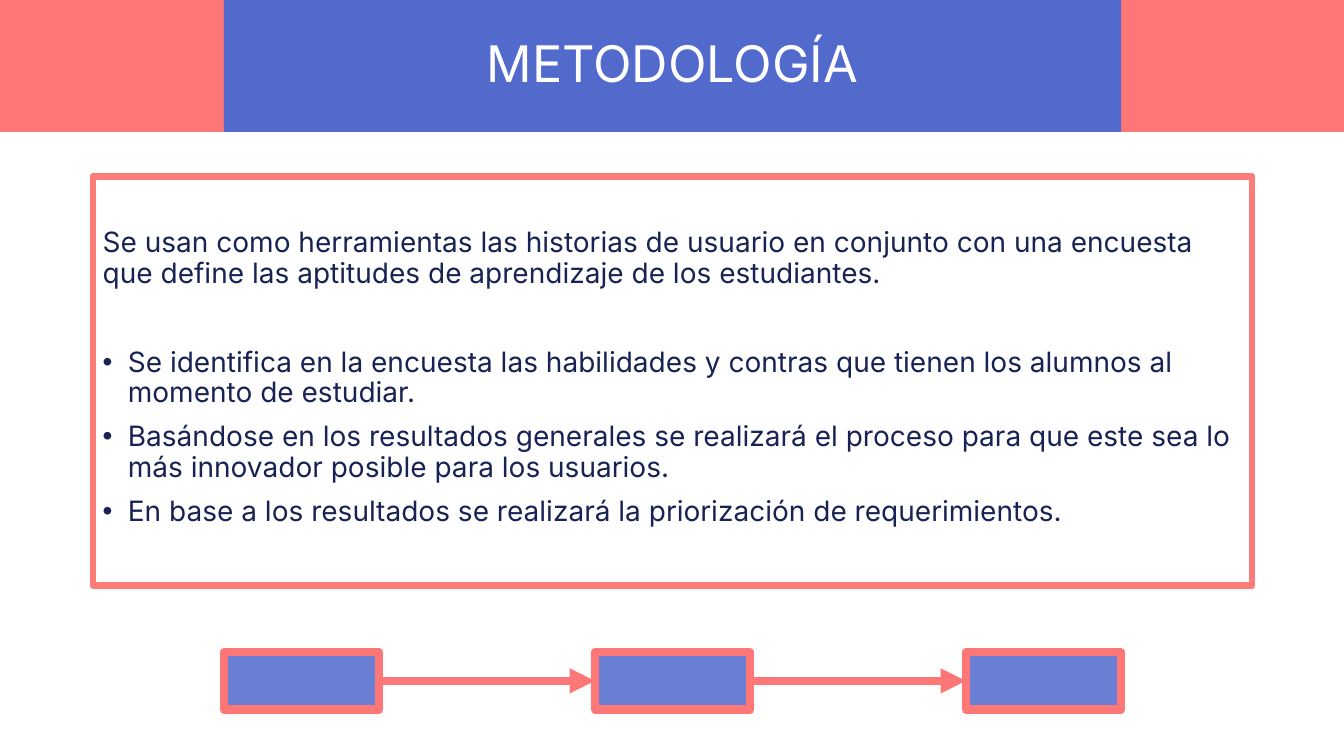
from lxml import etree
from pptx import Presentation
from pptx.dml.color import RGBColor
from pptx.enum.shapes import MSO_CONNECTOR, MSO_SHAPE
from pptx.enum.text import MSO_ANCHOR, PP_ALIGN
from pptx.oxml.ns import qn
from pptx.util import Inches, Pt

TITLE = "METODOLOGÍA"
INTRO = ("Se usan como herramientas las historias de usuario en conjunto con una "
         "encuesta que define las aptitudes de aprendizaje de los estudiantes.")
BULLETS = [
    "Se identifica en la encuesta las habilidades y contras que tienen los alumnos "
    "al momento de estudiar.",
    "Basándose en los resultados generales se realizará el proceso para que este "
    "sea lo más innovador posible para los usuarios.",
    "En base a los resultados se realizará la priorización de requerimientos.",
]
COLORS = {"coral": "FD7777", "frame": "FB7C79", "blue": "536ACD",
          "step": "6A7ED4", "navy": "182354", "white": "FFFFFF"}
FONT = "Inter"
SLIDE_W, SLIDE_H = 13.33, 7.5
BAND_H = 1.31
STEP_COUNT, STEP_LEFT, STEP_TOP, STEP_W, STEP_H = 3, 2.22, 6.47, 1.54, 0.57
STEP_PITCH = 3.68


def rgb(name):
    return RGBColor.from_string(COLORS[name])


def add_box(slide, box, fill, line=None, width=0):
    sp = slide.shapes.add_shape(MSO_SHAPE.RECTANGLE, *map(Inches, box))
    sp.shadow.inherit = False
    sp.fill.solid()
    sp.fill.fore_color.rgb = rgb(fill)
    if line:
        sp.line.color.rgb = rgb(line)
        sp.line.width = Pt(width)
    else:
        sp.line.fill.background()
    return sp


def add_arrow(slide, x1, x2, y):
    line = slide.shapes.add_connector(
        MSO_CONNECTOR.STRAIGHT, *map(Inches, (x1, y, x2, y)))
    line.line.color.rgb = rgb("coral")
    line.line.width = Pt(6)
    etree.SubElement(line.line._get_or_add_ln(), qn("a:tailEnd"), type="triangle")
    etree.SubElement(line._element.spPr, qn("a:effectLst"))


def style(p, size, color, align, before=0):
    p.alignment = align
    p.line_spacing = 0.9
    p.space_before = Pt(before)
    for r in p.runs:
        r.font.name = FONT
        r.font.size = Pt(size)
        r.font.color.rgb = rgb(color)


def add_bullet(p):
    pPr = p._p.get_or_add_pPr()
    pPr.set("marL", str(Inches(0.25)))
    pPr.set("indent", str(-Inches(0.25)))
    etree.SubElement(pPr, qn("a:buFont"), typeface="Arial")
    etree.SubElement(pPr, qn("a:buChar"), char="•")


def add_title(slide):
    tf = slide.shapes.add_textbox(*map(Inches, (0.92, 0.34, 11.5, 0.81))).text_frame
    tf.word_wrap = True
    tf.text = TITLE
    style(tf.paragraphs[0], 36, "white", PP_ALIGN.CENTER)


def add_body(slide):
    sp = add_box(slide, (0.92, 1.75, 11.5, 4.06), "white", "frame", 4.5)
    etree.SubElement(sp.line._get_or_add_ln(), qn("a:round"))
    tf = sp.text_frame
    tf.word_wrap = True
    tf.vertical_anchor = MSO_ANCHOR.TOP
    tf.margin_top = Inches(0.52)
    tf.text = INTRO
    style(tf.paragraphs[0], 20, "navy", PP_ALIGN.LEFT)
    for i, text in enumerate(BULLETS):
        p = tf.add_paragraph()
        p.text = text
        style(p, 20, "navy", PP_ALIGN.LEFT, 10 if i else 42)
        add_bullet(p)


def add_steps(slide):
    lefts = [STEP_LEFT + i * STEP_PITCH for i in range(STEP_COUNT)]
    for x in lefts:
        add_box(slide, (x, STEP_TOP, STEP_W, STEP_H), "step", "coral", 6)
    for x, following in zip(lefts, lefts[1:]):
        add_arrow(slide, x + STEP_W, following, STEP_TOP + STEP_H / 2)


def main():
    prs = Presentation()
    prs.slide_width, prs.slide_height = Inches(SLIDE_W), Inches(SLIDE_H)
    slide = prs.slides.add_slide(prs.slide_layouts[6])
    add_box(slide, (0, 0, SLIDE_W, BAND_H), "coral")
    add_box(slide, (2.22, 0, 8.9, BAND_H), "blue")
    add_title(slide)
    add_body(slide)
    add_steps(slide)
    prs.save("out.pptx")


if __name__ == "__main__":
    main()
